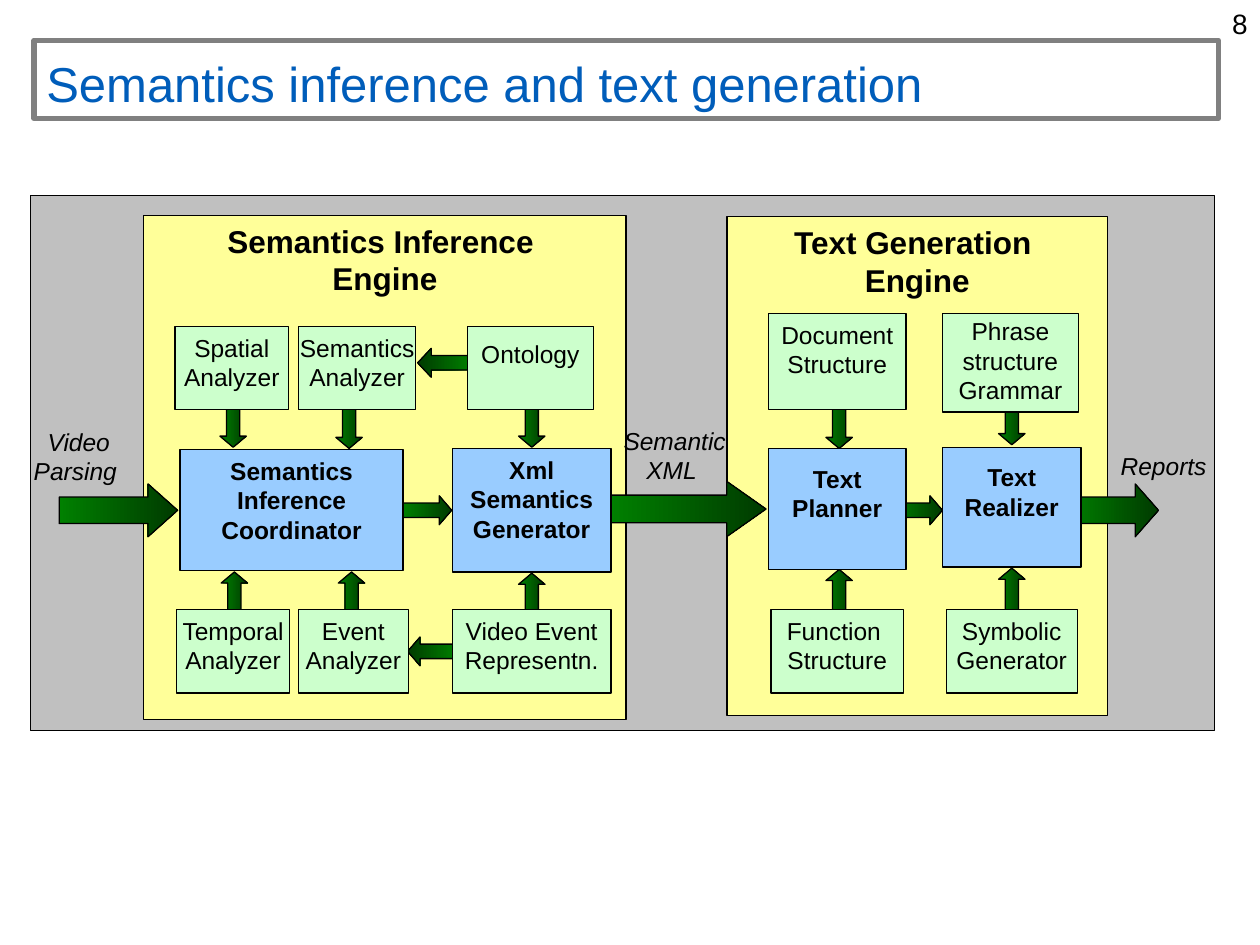
from dataclasses import dataclass
from typing import NamedTuple, Optional

import pptx
import pptx.dml.color
import pptx.enum.shapes
import pptx.enum.text
import pptx.util

Inches = pptx.util.Inches
Align = pptx.enum.text.PP_ALIGN
Anchor = pptx.enum.text.MSO_ANCHOR
Preset = pptx.enum.shapes.MSO_SHAPE


@dataclass(frozen=True)
class Theme:
    font: str = "Arial"
    ink: str = "000000"
    title: str = "005DBA"
    title_frame: str = "808080"
    backdrop: str = "C0C0C0"
    engine: str = "FFFF99"
    core: str = "99CCFF"
    resource: str = "CCFFCC"
    arrow_tail: str = "008000"
    arrow_tip: str = "003B00"
    title_size: float = 28
    engine_size: float = 18
    number_size: float = 16
    body_size: float = 14
    outline: float = 0.75
    title_outline: float = 3


THEME = Theme()


class Box(NamedTuple):
    left: float
    top: float
    width: float
    height: float
    lines: tuple = ()
    fill: Optional[str] = None
    inset_x: float = 0.1
    inset_top: float = 0.05
    size: float = THEME.body_size
    bold: bool = False
    italic: bool = False
    color: str = THEME.ink
    align: Align = Align.CENTER
    anchor: Anchor = Anchor.TOP


class Heading(NamedTuple):
    rotation: int = 0
    flip: Optional[str] = None
    gradient_angle: int = 0


class Arrow(NamedTuple):
    """A block arrow placed by its centre, with length along its heading."""
    x: float
    y: float
    length: float
    thickness: float
    head: float
    heading: Heading


RIGHT = Heading()
LEFT = Heading(flip="flipH")
DOWN = Heading(rotation=90, gradient_angle=90)
UP = Heading(rotation=270, flip="flipV", gradient_angle=90)


def resource(left, top, width, height, *lines, inset_top=0.05) -> Box:
    return Box(left, top, width, height, lines, THEME.resource, 0, inset_top)


def core(left, top, width, height, *lines, inset_top=0.05) -> Box:
    return Box(left, top, width, height, lines, THEME.core, 0, inset_top, bold=True)


def engine(left, top, width, height, *lines) -> Box:
    return Box(left, top, width, height, lines, THEME.engine,
               size=THEME.engine_size, bold=True)


PAGE_NUMBER = Box(9.35, 0, 0.65, 0.37, ("8",), size=THEME.number_size, align=Align.RIGHT)
TITLE = Box(0.27, 0.32, 9.4, 0.62, ("Semantics inference and text generation",),
            size=THEME.title_size, color=THEME.title, align=Align.LEFT,
            anchor=Anchor.BOTTOM)

PANELS = (
    Box(0.24, 1.55, 9.4, 4.25, fill=THEME.backdrop),
    engine(5.77, 1.72, 3.02, 3.96, "Text Generation ", "Engine"),
    engine(1.14, 1.71, 3.83, 4, "Semantics Inference ", "Engine"),
)
FLOW_LABELS = (
    Box(0.09, 3.34, 1.07, 0.82, ("Video Parsing ",), italic=True),
    Box(4.82, 3.33, 1.07, 0.92, ("Semantic", "XML "), italic=True),
    Box(8.78, 3.53, 0.91, 0.38, ("Reports",), italic=True),
)

UPPER_TOP, LOWER_TOP, RESOURCE_HEIGHT = 2.59, 4.84, 0.66
BOXES = (
    resource(1.39, UPPER_TOP, 0.9, RESOURCE_HEIGHT, "Spatial", "Analyzer"),
    resource(2.37, UPPER_TOP, 0.93, RESOURCE_HEIGHT, "Semantics", "Analyzer"),
    resource(3.71, UPPER_TOP, 1, RESOURCE_HEIGHT, "Ontology", inset_top=0.1),
    resource(6.1, 2.49, 1.09, 0.76, "Document", "Structure"),
    resource(7.48, 2.49, 1.08, 0.78, "Phrase structure", "Grammar", inset_top=0.02),
    core(1.43, 3.57, 1.77, 0.96, "Semantics", "Inference", "Coordinator"),
    core(3.59, 3.56, 1.26, 0.98, "Xml", "Semantics", "Generator"),
    core(6.1, 3.56, 1.09, 0.96, "Text", "Planner", inset_top=0.12),
    core(7.48, 3.55, 1.1, 0.95, "Text", "Realizer", inset_top=0.12),
    resource(1.4, LOWER_TOP, 0.9, RESOURCE_HEIGHT, "Temporal", "Analyzer"),
    resource(2.37, LOWER_TOP, 0.87, RESOURCE_HEIGHT, "Event", "Analyzer"),
    resource(3.59, LOWER_TOP, 1.26, RESOURCE_HEIGHT, "Video Event", "Representn."),
    resource(6.12, LOWER_TOP, 1.05, RESOURCE_HEIGHT, "Function ", "Structure"),
    resource(7.51, LOWER_TOP, 1.04, RESOURCE_HEIGHT, "Symbolic", "Generator"),
)

DOWN_CENTERS = ((1.85, 3.37), (2.77, 3.38), (4.22, 3.37), (6.66, 3.38), (8.03, 3.35))
UP_CENTERS = ((1.86, 4.72), (2.79, 4.72), (4.22, 4.73), (6.66, 4.7), (8.03, 4.69))
ARROWS = (
    Arrow(0.94, 4.05, 0.94, 0.42, 0.56, RIGHT),
    Arrow(3.39, 4.05, 0.39, 0.23, 0.43, RIGHT),
    Arrow(5.46, 4.04, 1.24, 0.44, 0.71, RIGHT),
    Arrow(7.28, 4.05, 0.4, 0.23, 0.43, RIGHT),
    Arrow(8.83, 4.05, 0.73, 0.42, 0.44, RIGHT),
    Arrow(3.53, 2.88, 0.43, 0.23, 0.47, LEFT),
    Arrow(3.43, 5.17, 0.39, 0.23, 0.43, LEFT),
    *(Arrow(x, y, 0.36, 0.21, 0.42, heading)
      for heading, centers in ((DOWN, DOWN_CENTERS), (UP, UP_CENTERS))
      for x, y in centers),
)


def rgb(value: str) -> pptx.dml.color.RGBColor:
    return pptx.dml.color.RGBColor.from_string(value)


def set_outline(shape, color: str, width: float) -> None:
    shape.line.color.rgb = rgb(color)
    shape.line.width = pptx.util.Pt(width)


def write_lines(shape, box: Box) -> None:
    frame = shape.text_frame
    frame_format = {
        "word_wrap": True, "vertical_anchor": box.anchor,
        "margin_left": Inches(box.inset_x), "margin_right": Inches(box.inset_x),
        "margin_top": Inches(box.inset_top), "margin_bottom": Inches(0.05),
    }
    for attribute, value in frame_format.items():
        setattr(frame, attribute, value)
    font_format = {"name": THEME.font, "size": pptx.util.Pt(box.size),
                   "bold": box.bold, "italic": box.italic}
    for index, line in enumerate(box.lines):
        paragraph = frame.paragraphs[0] if index == 0 else frame.add_paragraph()
        paragraph.alignment = box.align
        run = paragraph.add_run()
        run.text = line
        for attribute, value in font_format.items():
            setattr(run.font, attribute, value)
        run.font.color.rgb = rgb(box.color)


def draw_label(shapes, box: Box) -> None:
    write_lines(shapes.add_textbox(*map(Inches, box[:4])), box)


def draw_box(shapes, box: Box, outline: str = THEME.ink,
             outline_width: float = THEME.outline) -> None:
    rectangle = shapes.add_shape(Preset.RECTANGLE, *map(Inches, box[:4]))
    rectangle.shadow.inherit = False
    if box.fill:
        rectangle.fill.solid()
        rectangle.fill.fore_color.rgb = rgb(box.fill)
    else:
        rectangle.fill.background()
    set_outline(rectangle, outline, outline_width)
    write_lines(rectangle, box)


def draw_arrow(shapes, arrow: Arrow) -> None:
    block = shapes.add_shape(
        Preset.RIGHT_ARROW,
        Inches(arrow.x - arrow.length / 2), Inches(arrow.y - arrow.thickness / 2),
        Inches(arrow.length), Inches(arrow.thickness))
    block.shadow.inherit = False
    block.adjustments[1] = arrow.head
    block.rotation = arrow.heading.rotation
    if arrow.heading.flip:
        block._element.spPr.xfrm.set(arrow.heading.flip, "1")
    block.fill.gradient()
    block.fill.gradient_angle = arrow.heading.gradient_angle
    for stop, color in zip(block.fill.gradient_stops, (THEME.arrow_tail, THEME.arrow_tip)):
        stop.color.rgb = rgb(color)
    set_outline(block, THEME.ink, THEME.outline)


def main() -> None:
    deck = pptx.Presentation()
    deck.slide_width, deck.slide_height = Inches(10), Inches(7.5)
    slide = deck.slides.add_slide(deck.slide_layouts[6])
    draw_label(slide.shapes, PAGE_NUMBER)
    draw_box(slide.shapes, TITLE, THEME.title_frame, THEME.title_outline)
    diagram = slide.shapes.add_group_shape().shapes
    for draw, parts in ((draw_box, PANELS), (draw_label, FLOW_LABELS),
                        (draw_arrow, ARROWS), (draw_box, BOXES)):
        for part in parts:
            draw(diagram, part)
    deck.save("out.pptx")


if __name__ == "__main__":
    main()
